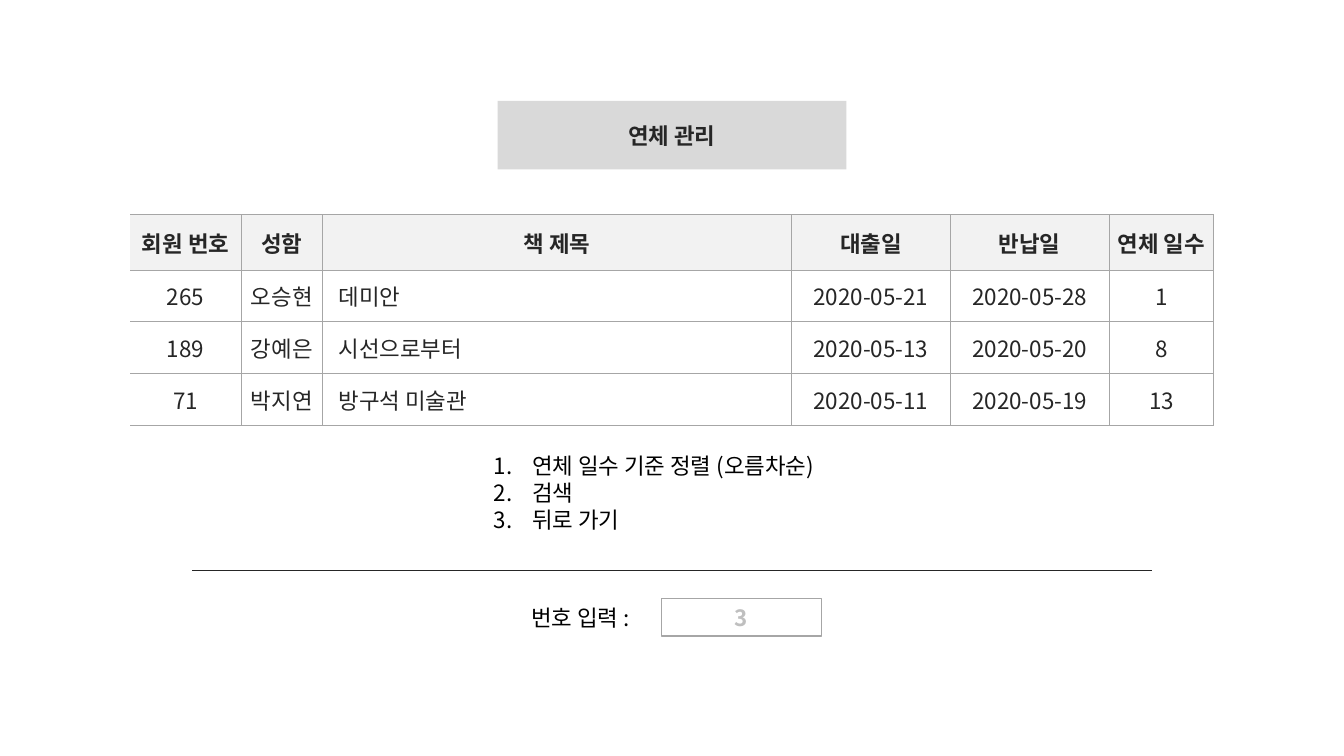
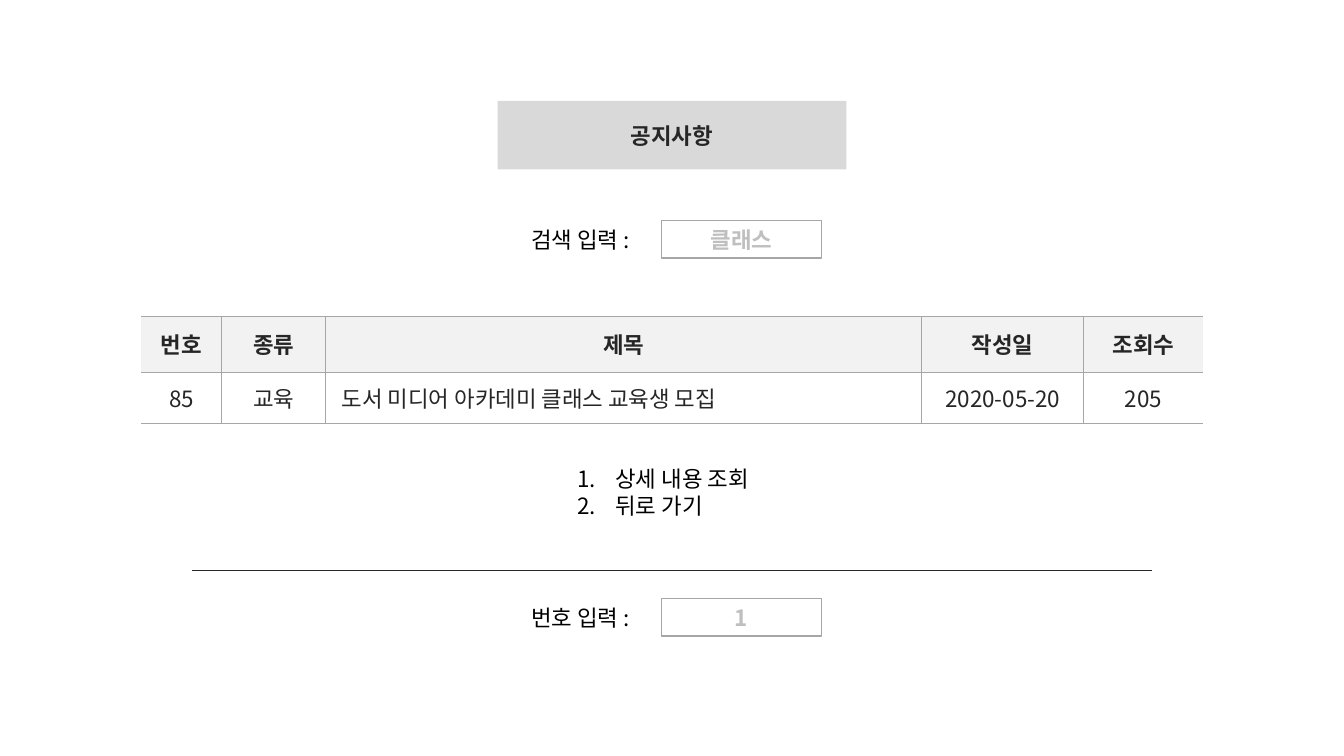
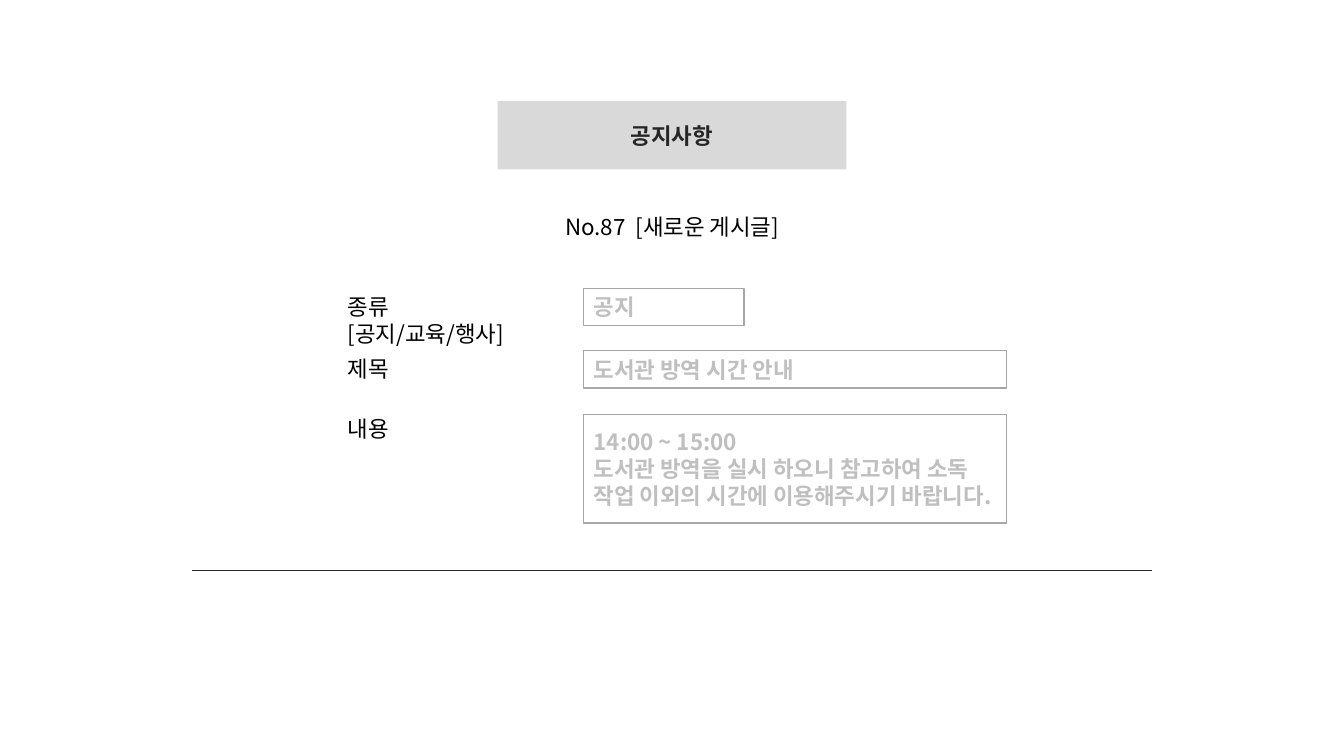
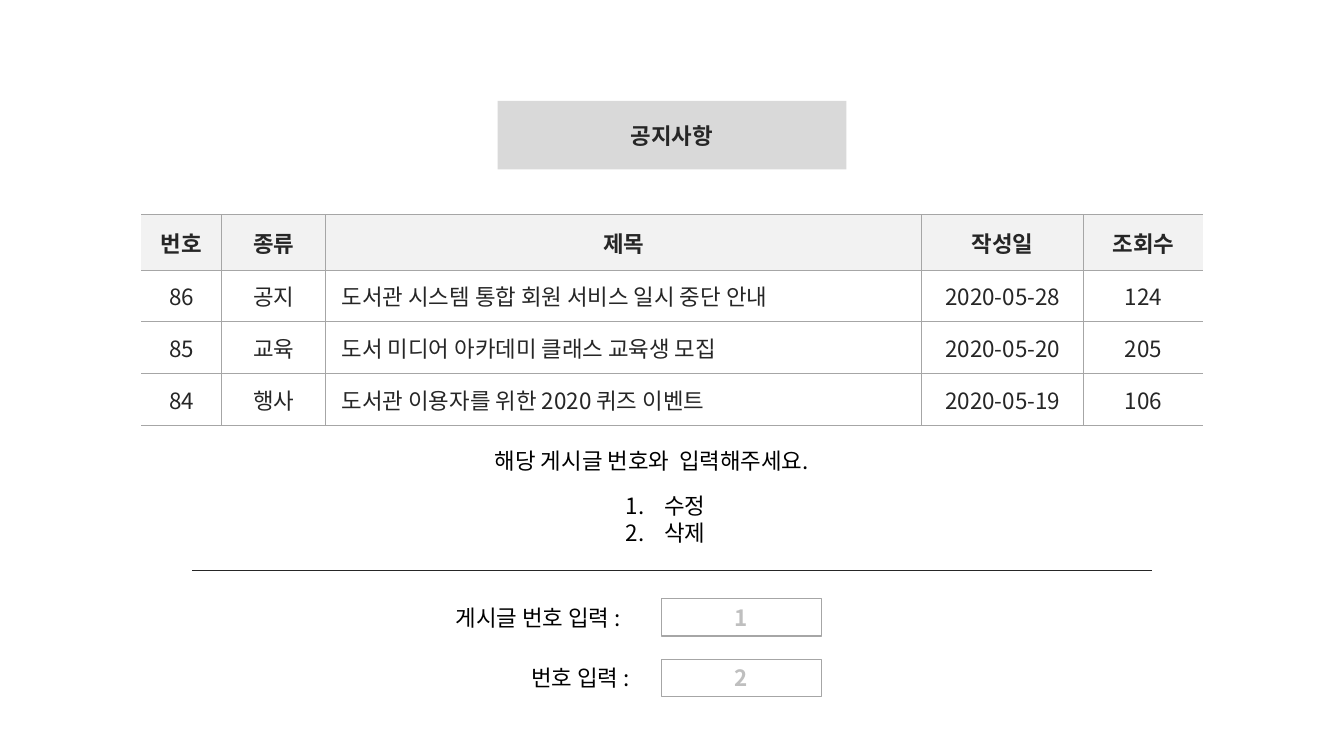
from dataclasses import dataclass

from pptx import Presentation
from pptx import util as u
from pptx.dml.color import RGBColor
from pptx.enum import shapes, text
from pptx.oxml import ns, xmlchemy


@dataclass(frozen=True)
class Style:
    color: str
    bold: bool = False
    latin: str = "Noto Sans CJK KR"


class Theme:
    size = u.Pt(16)
    hangul = "Noto Sans CJK KR"
    ink = "262626"
    band = "D9D9D9"
    header = "F2F2F2"
    paper = "FFFFFF"
    edge = "A6A6A6"
    title = Style(ink, True, "Arial")
    heading = Style(ink, True)
    cell = Style(ink)
    plain = Style("000000")
    entry = Style("BFBFBF", True)


SLIDE_WIDTH, SLIDE_HEIGHT = u.Inches(13.33), u.Inches(7.5)
GRID = u.Inches(0.1)
COLUMNS = SLIDE_WIDTH / GRID
LINE = 3.7
LEFT, CENTER = text.PP_ALIGN.LEFT, text.PP_ALIGN.CENTER


@dataclass(frozen=True)
class Box:
    left: float
    top: float
    width: float
    height: float = LINE

    @classmethod
    def centred(cls, top, width, height=LINE):
        return cls((COLUMNS - width) / 2, top, width, height)

    def emu(self):
        return [u.Emu(round(side * GRID)) for side in (self.left, self.top, self.width, self.height)]


def element(parent, tag, **attributes):
    child = xmlchemy.OxmlElement(tag)
    for name, value in attributes.items():
        child.set(name, str(value))
    parent.append(child)
    return child


def paint(target, color):
    target.fill.solid()
    target.fill.fore_color.rgb = RGBColor.from_string(color)


def write(frame, words, style, align=LEFT, numbered=False):
    frame.text = words
    for para in frame.paragraphs:
        para.alignment = align
        properties = para._p.get_or_add_pPr()
        if numbered:
            indent = u.Inches(0.38)
            properties.set("marL", str(indent))
            properties.set("indent", str(-indent))
            element(properties, "a:buFont", typeface="+mj-lt")
            element(properties, "a:buAutoNum", type="arabicPeriod")
        font = para.font
        font.size, font.bold, font.name = Theme.size, style.bold, style.latin
        font.color.rgb = RGBColor.from_string(style.color)
        element(properties.find(ns.qn("a:defRPr")), "a:ea", typeface=Theme.hangul)


def add_label(parent, box, words, align=LEFT, numbered=False):
    frame = parent.shapes.add_textbox(*box.emu()).text_frame
    frame.word_wrap = False
    frame.auto_size = text.MSO_AUTO_SIZE.SHAPE_TO_FIT_TEXT
    write(frame, words, Theme.plain, align, numbered)


def add_panel(parent, box, words, fill, style, align=CENTER, edge=None):
    panel = parent.shapes.add_shape(shapes.MSO_SHAPE.RECTANGLE, *box.emu())
    panel.shadow.inherit = False
    paint(panel, fill)
    if edge:
        panel.line.color.rgb = RGBColor.from_string(edge)
        panel.line.width = u.Pt(1)
    else:
        panel.line.fill.background()
    panel.text_frame.word_wrap = True
    panel.text_frame.vertical_anchor = text.MSO_ANCHOR.MIDDLE
    write(panel.text_frame, words, style, align)


def add_entry(parent, box, words, align=CENTER):
    add_panel(parent, box, words, Theme.paper, Theme.entry, align, Theme.edge)


def add_prompt(page, top, label, label_width, answer):
    group = page.shapes.add_group_shape()
    entry = Box(65.6, top, 15.9)
    add_label(group, Box(entry.left - label_width, top, label_width), label)
    add_entry(group, entry, answer)


def border(cell, sides):
    properties = cell._tc.get_or_add_tcPr()
    for side in "LRTB":
        line = element(properties, f"a:ln{side}", w=u.Pt(0.75))
        if side in sides:
            element(element(line, "a:solidFill"), "a:srgbClr", val=Theme.edge)
        else:
            element(line, "a:noFill")


def add_records(page, top, widths, records, right_edge=False):
    heights = [5.5] + [5.13] * (len(records) - 1)
    box = Box.centred(top, sum(widths), sum(heights))
    table = page.shapes.add_table(len(records), len(widths), *box.emu()).table
    table.first_row = table.horz_banding = False
    for column, width in zip(table.columns, widths):
        column.width = u.Emu(round(width * GRID))
    for row, height in zip(table.rows, heights):
        row.height = u.Emu(round(height * GRID))
    last = len(widths) - 1
    for r, record in enumerate(records):
        for c, words in enumerate(record):
            cell = table.cell(r, c)
            is_title = r > 0 and c == 2
            cell.margin_left = u.Inches(0.16 if is_title else 0)
            cell.margin_right = cell.margin_top = cell.margin_bottom = 0
            cell.vertical_anchor = text.MSO_ANCHOR.MIDDLE
            border(cell, "TB" + ("L" if c else "") + ("R" if c < last or right_edge else ""))
            paint(cell, Theme.paper if r else Theme.header)
            write(cell.text_frame, words, Theme.cell if r else Theme.heading,
                  LEFT if is_title else CENTER)


def add_notices(page, top, notices):
    headings = ("번호", "종류", "제목", "작성일", "조회수")
    add_records(page, top, (8, 10.3, 59.1, 16.1, 11.8), [headings, *notices])


def add_screen(deck, title):
    page = deck.slides.add_slide(deck.slide_layouts[6])
    add_panel(page, Box.centred(10, 34.6, 6.8), title, Theme.band, Theme.title)
    left, top, width, _ = Box.centred(56.6, 95.2, 0).emu()
    rule = page.shapes.add_connector(shapes.MSO_CONNECTOR.STRAIGHT, left, top, left + width, top)
    rule.line.color.rgb = RGBColor.from_string(Theme.ink)
    rule.line.width = u.Pt(0.5)
    element(rule._element.spPr, "a:effectLst")
    return page


def overdue_screen(deck):
    page = add_screen(deck, "연체 관리")
    add_records(page, 21.3, (11, 8.1, 46.5, 15.75, 15.75, 10.4), [
        ("회원 번호", "성함", "책 제목", "대출일", "반납일", "연체 일수"),
        ("265", "오승현", "데미안", "2020-05-21", "2020-05-28", "1"),
        ("189", "강예은", "시선으로부터", "2020-05-13", "2020-05-20", "8"),
        ("71", "박지연", "방구석 미술관", "2020-05-11", "2020-05-19", "13"),
    ], right_edge=True)
    add_label(page, Box.centred(44.4, 37.3, 9.1),
              "연체 일수 기준 정렬 (오름차순)\n검색\n뒤로 가기", numbered=True)
    add_prompt(page, 59.4, "번호 입력 :", 13.9, "3")


def search_screen(deck, notice):
    page = add_screen(deck, "공지사항")
    add_prompt(page, 21.9, "검색 입력 :", 13.9, "클래스")
    add_notices(page, 31.4, [notice])
    add_label(page, Box.centred(45.7, 20.8, 6.4), "상세 내용 조회\n뒤로 가기", numbered=True)
    add_prompt(page, 59.4, "번호 입력 :", 13.9, "1")


def posting_screen(deck):
    page = add_screen(deck, "공지사항")
    add_label(page, Box.centred(20.7, 26.1), "No.87  [새로운 게시글]", CENTER)
    form = page.shapes.add_group_shape()
    fields = (
        (28.6, 28.6, 23.9, "종류\v[공지/교육/행사]", 15.9, LINE, "공지"),
        (34.7, 34.8, 6.5, "제목", 41.9, LINE, "도서관 방역 시간 안내"),
        (40.7, 41.1, 6.5, "내용", 41.9, 10.8,
         "14:00 ~ 15:00\n도서관 방역을 실시 하오니 참고하여 소독 작업 이외의 시간에 이용해주시기 바랍니다."),
    )
    for label_top, entry_top, label_width, label, width, height, answer in fields:
        add_label(form, Box(33.5, label_top, label_width), label)
        add_entry(form, Box(57.9, entry_top, width, height), answer, LEFT)


def editing_screen(deck, notices):
    page = add_screen(deck, "공지사항")
    add_notices(page, 21.3, notices)
    add_label(page, Box.centred(43.9, 37.1), "해당 게시글 번호와  입력해주세요.")
    add_label(page, Box.centred(48.3, 11.1, 6.4), "수정\n삭제", numbered=True)
    add_prompt(page, 59.4, "게시글 번호 입력 :", 21.4, "1")
    add_prompt(page, 65.4, "번호 입력 :", 13.9, "2")


def main():
    deck = Presentation()
    deck.slide_width, deck.slide_height = SLIDE_WIDTH, SLIDE_HEIGHT
    notices = [
        ("86", "공지", "도서관 시스템 통합 회원 서비스 일시 중단 안내", "2020-05-28", "124"),
        ("85", "교육", "도서 미디어 아카데미 클래스 교육생 모집", "2020-05-20", "205"),
        ("84", "행사", "도서관 이용자를 위한 2020 퀴즈 이벤트", "2020-05-19", "106"),
    ]
    overdue_screen(deck)
    search_screen(deck, notices[1])
    posting_screen(deck)
    editing_screen(deck, notices)
    deck.save("out.pptx")


if __name__ == "__main__":
    main()
